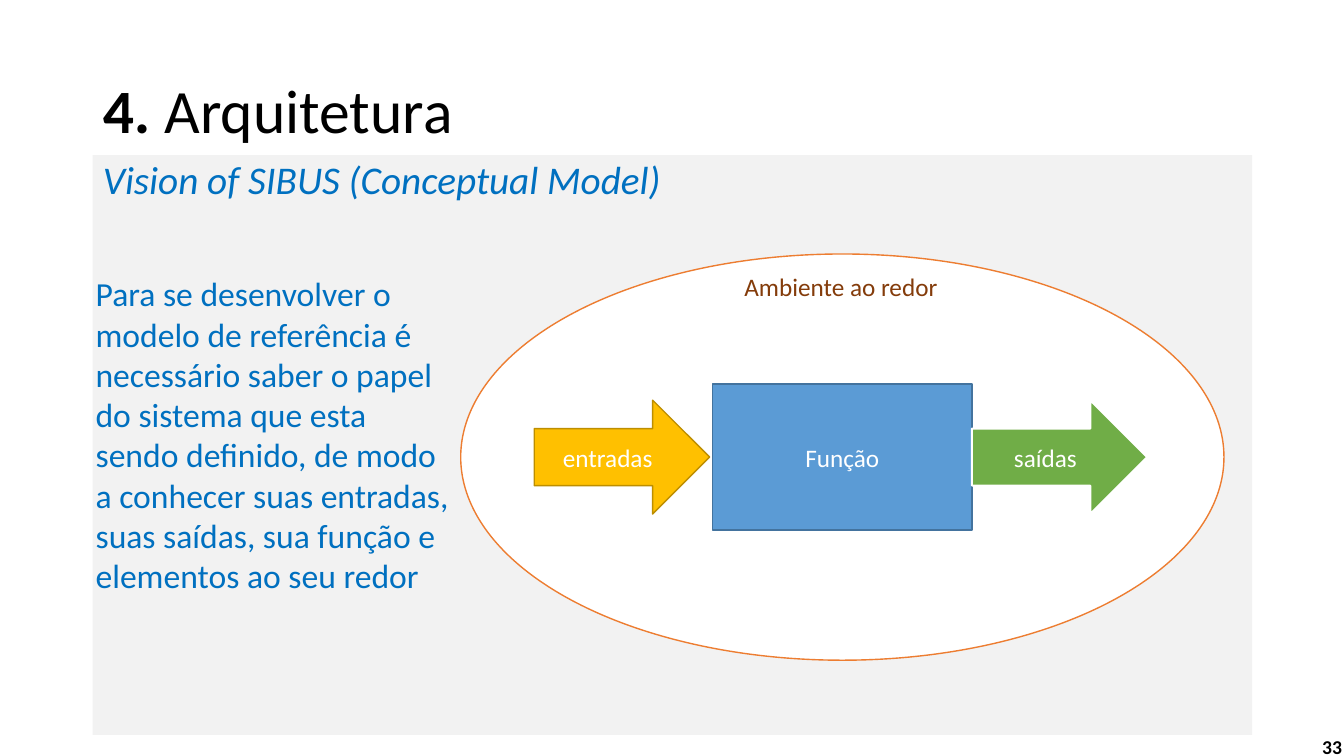
from pptx import Presentation
from pptx.dml.color import RGBColor
from pptx.enum.shapes import MSO_SHAPE
from pptx.enum.text import MSO_ANCHOR, MSO_AUTO_SIZE, PP_ALIGN
from pptx.oxml.ns import qn
from pptx.util import Inches, Pt

RECT, OVAL, ARROW = MSO_SHAPE.RECTANGLE, MSO_SHAPE.OVAL, MSO_SHAPE.RIGHT_ARROW
LEFT, MID, RIGHT = PP_ALIGN.LEFT, PP_ALIGN.CENTER, PP_ALIGN.RIGHT
TOP, CENTER = MSO_ANCHOR.TOP, MSO_ANCHOR.MIDDLE

# Content
TITLE = [("4. ", {"bold": True}), ("Arquitetura", {"bold": False})]
LEAD = "Vision of SIBUS (Conceptual Model)"
NOTE = ("Para se desenvolver o modelo de referência é necessário saber o papel "
        "do sistema que esta sendo definido, de modo a conhecer suas entradas, "
        "suas saídas, sua função e elementos ao seu redor")
AROUND = "Ambiente ao redor"
INPUT, CORE, OUTPUT = "entradas", "Função", "saídas"
PAGE = "33"

THEME = {
    "font": "Calibri",
    "size": {"title": 44, "lead": 28, "note": 24, "label": 18, "page": 14},
    "ink": {"black": "000000", "blue": "0070C0", "brown": "843C0B", "white": "FFFFFF"},
    "panel": "F2F2F2",
    "oval": ("FFFFFF", "ED7D31", 1),
    "core": ("5B9BD5", "43739E", 1),
    "input": ("FFC000", "BD8E00", 1),
    "output": ("70AD47", "FFFFFF", 1.5),
}

# Grid: 100 columns by 100 rows; boxes are left, top, width, height
WIDE, HIGH = Inches(13.33), Inches(7.5)
PANEL = (6.9, 20.53, 86.27, 76.67)
HEAD = (6.9, 5.33, 86.27, 19.33)
RING = (34.28, 33.6, 56.79, 53.73)
SIDE = (6.38, 35.47, 27.91, 44.4)
CORNER = (95.35, 96.53, 5.25, 4.53)
CORE_SIZE, ARROW_SIZE, TAG_SIZE = (19.28, 19.33), (13.05, 15.07), (16.05, 5.33)
TAG_TOP, GAP = 35.2, 0.23


def color(code):
    return RGBColor.from_string(code)


def place(shape, box):
    names = ("left", "top", "width", "height")
    for name, share, full in zip(names, box, (WIDE, HIGH, WIDE, HIGH)):
        setattr(shape, name, round(share * full / 100))


def write(shape, runs, size, ink, align=LEFT, anchor=TOP, wrap=True, **style):
    """Fill the first paragraph with runs, given as text or (text, style) pairs."""
    frame = shape.text_frame
    look = {"auto_size": MSO_AUTO_SIZE.NONE, "word_wrap": wrap, "vertical_anchor": anchor}
    for name, value in look.items():
        setattr(frame, name, value)
    para = frame.paragraphs[0]
    para.alignment = align
    for text, extra in [(runs, {})] if isinstance(runs, str) else runs:
        run = para.add_run()
        run.text = text
        run.font.color.rgb = color(THEME["ink"][ink])
        face = {"name": THEME["font"], "size": Pt(THEME["size"][size]), **style, **extra}
        for name, value in face.items():
            setattr(run.font, name, value)
    return para


def draw(slide, kind, box, look, text=None):
    shape = slide.shapes.add_shape(kind, 0, 0, 0, 0)
    place(shape, box)
    fill, line, width = THEME[look]
    shape.shadow.inherit = False
    shape.fill.solid()
    shape.fill.fore_color.rgb = color(fill)
    shape.line.color.rgb = color(line)
    shape.line.width = Pt(width)
    if text:
        write(shape, text, "label", "white", MID, CENTER)


def label(slide, box, *args, **style):
    shape = slide.shapes.add_textbox(0, 0, 0, 0)
    place(shape, box)
    write(shape, *args, **style)


def header(slide):
    title, body = slide.shapes.title, slide.placeholders[1]
    place(title, HEAD)
    para = write(title, TITLE, "title", "black", anchor=CENTER)
    para.line_spacing = 0.9

    place(body, PANEL)
    body.fill.solid()
    body.fill.fore_color.rgb = color(THEME["panel"])
    para = write(body, LEAD, "lead", "blue", italic=True)
    para.line_spacing, para.space_before = 0.9, Pt(10)
    props = para._p.get_or_add_pPr()
    props.set("marL", "0")
    props.set("indent", "0")
    props.append(props.makeelement(qn("a:buNone"), {}))


def model(slide):
    """Draw the ring with the function and its arrows centred in it."""
    left, top, width, height = RING
    mid_x, mid_y = left + width / 2, top + height / 2
    core_w, core_h = CORE_SIZE
    arrow_w, arrow_h = ARROW_SIZE
    core_x, arrow_y = mid_x - core_w / 2, mid_y - arrow_h / 2
    in_x, out_x = core_x - GAP - arrow_w, core_x + core_w

    draw(slide, OVAL, RING, "oval")
    draw(slide, RECT, (core_x, mid_y - core_h / 2, core_w, core_h), "core", CORE)
    draw(slide, ARROW, (in_x, arrow_y, arrow_w, arrow_h), "input", INPUT)
    draw(slide, ARROW, (out_x, arrow_y, arrow_w, arrow_h), "output", OUTPUT)
    tag = (mid_x - TAG_SIZE[0] / 2, TAG_TOP, *TAG_SIZE)
    label(slide, tag, AROUND, "label", "brown", wrap=False)


def main():
    deck = Presentation()
    deck.slide_width, deck.slide_height = WIDE, HIGH
    slide = deck.slides.add_slide(deck.slide_layouts[1])
    header(slide)
    model(slide)
    label(slide, SIDE, NOTE, "note", "blue")
    label(slide, CORNER, PAGE, "page", "black", RIGHT, bold=True)
    deck.save("out.pptx")


if __name__ == "__main__":
    main()
